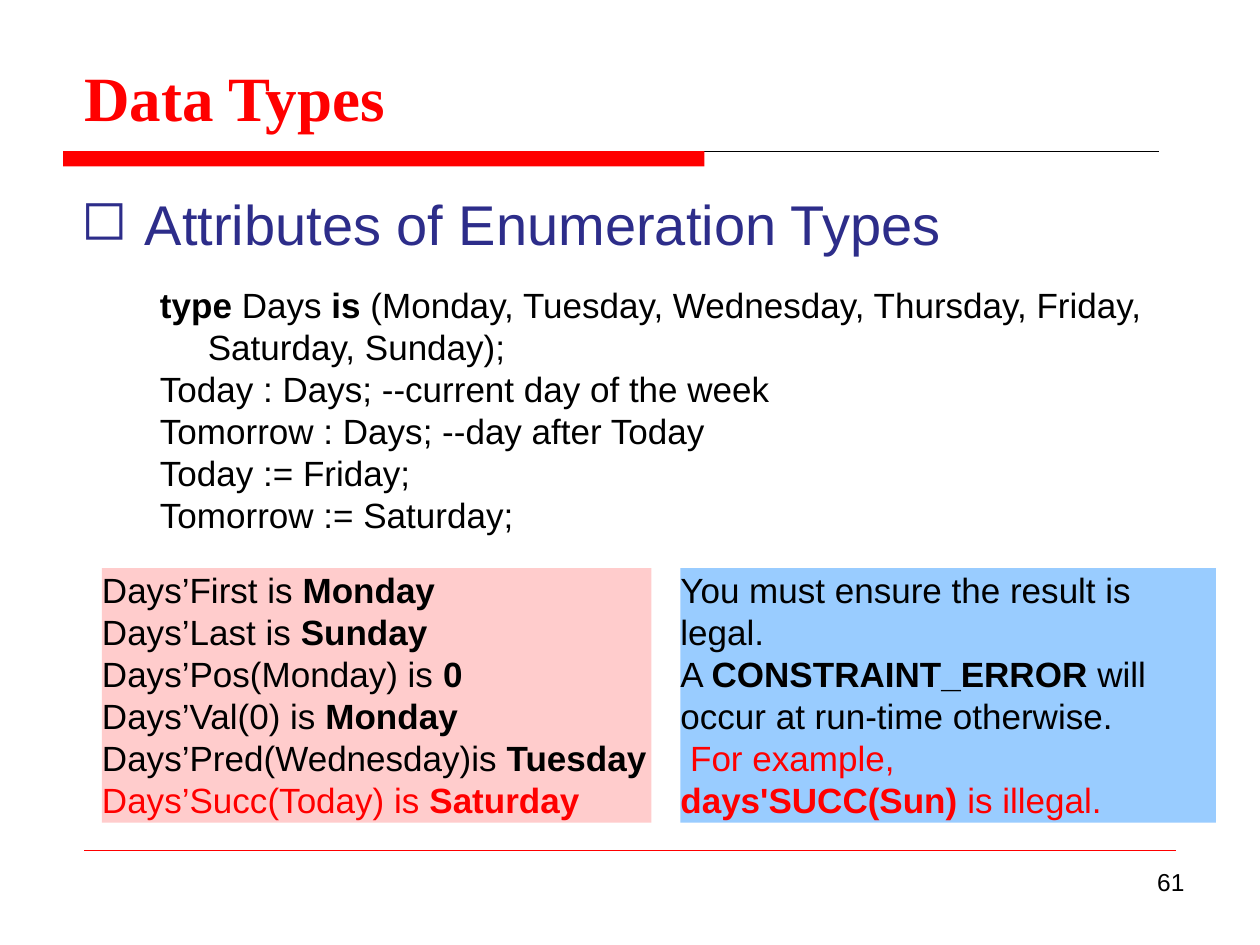
"""Build the slide on attributes of enumeration types."""
import pptx
import pptx.dml.color
import pptx.enum.shapes
import pptx.enum.text
import pptx.util
import lxml.etree

Inches = pptx.util.Inches
Pt = pptx.util.Pt
RED, BLACK, BLUE = "FF0000", "000000", "2D2D8A"


def color(value):
    """Turn a hex string into a colour."""
    return pptx.dml.color.RGBColor.from_string(value)


def write(shape, lines, size=20, font="Arial", ink=BLACK, red_from=None, wrap=False,
          inset=0, spacing=None, bullet=None, align=pptx.enum.text.PP_ALIGN.LEFT):
    """Fill a shape with lines in which ** switches bold on and off."""
    frame = shape.text_frame
    frame.word_wrap = wrap
    frame.auto_size = pptx.enum.text.MSO_AUTO_SIZE.NONE
    frame.vertical_anchor = pptx.enum.text.MSO_ANCHOR.TOP
    frame.margin_left = frame.margin_right = Inches(inset)
    frame.margin_top = frame.margin_bottom = Inches(inset / 2)
    for index, line in enumerate(lines):
        para = frame.paragraphs[0] if index == 0 else frame.add_paragraph()
        para.alignment = align
        if spacing:
            para.line_spacing = Pt(spacing)
        if bullet:
            properties = para._p.get_or_add_pPr()
            properties.set("marL", str(Inches(0.5)))
            properties.set("indent", str(-Inches(0.5)))
            mark = lxml.etree.SubElement(properties, pptx.oxml.ns.qn("a:buChar"))
            mark.set("char", bullet)
        for part, text in enumerate(line.split("**")):
            if text:
                span = para.add_run()
                span.text = text
                span.font.name = font
                span.font.size = Pt(size)
                span.font.bold = part % 2 == 1
                is_red = red_from is not None and index >= red_from
                span.font.color.rgb = color(RED if is_red else ink)


deck = pptx.Presentation()
deck.slide_width, deck.slide_height = Inches(10), Inches(7.5)
page = deck.slides.add_slide(deck.slide_layouts[5])
shapes = page.shapes

for left, right, top, ink, weight in [(0.5, 9.2, 1.2, BLACK, 0.75), (0.67, 9.33, 6.75, RED, 0.25)]:
    rule = shapes.add_connector(pptx.enum.shapes.MSO_CONNECTOR.STRAIGHT,
                                Inches(left), Inches(top), Inches(right), Inches(top))
    rule.line.color.rgb = color(ink)
    rule.line.width = Pt(weight)
    lxml.etree.SubElement(rule._element.spPr, pptx.oxml.ns.qn("a:effectLst"))

panels = []
for left, top, width, height, fill in [
    (0.5, 1.2, 5.09, 0.12, RED),
    (0.81, 4.51, 4.36, 2.02, "FFCCCC"),
    (5.4, 4.51, 4.25, 2.02, "99CCFF"),
]:
    panel = shapes.add_shape(pptx.enum.shapes.MSO_SHAPE.RECTANGLE,
                             Inches(left), Inches(top), Inches(width), Inches(height))
    panel.shadow.inherit = False
    panel.fill.solid()
    panel.fill.fore_color.rgb = color(fill)
    panel.line.fill.background()
    panels.append(panel)
bar, results, warning = panels

title = shapes.title
title.left, title.top = Inches(0.67), Inches(0.6)
title.width, title.height = Inches(2.41), Inches(0.48)
write(title, ["**Data Types**"], size=36, font="Times New Roman", ink=RED, spacing=33.7)

heading = shapes.add_textbox(Inches(0.65), Inches(1.7), Inches(6.87), Inches(0.34))
write(heading, ["Attributes of Enumeration Types"], size=32, ink=BLUE, spacing=24.1, bullet="◻")

code = shapes.add_textbox(Inches(1.27), Inches(2.25), Inches(7.84), Inches(2.02))
write(code, [
    "**type **Days **is **(Monday, Tuesday, Wednesday, Thursday, Friday,",
    "Saturday, Sunday);",
    "Today : Days; --current day of the week",
    "Tomorrow : Days; --day after Today",
    "Today := Friday;",
    "Tomorrow := Saturday;",
])
code.text_frame.paragraphs[1]._p.get_or_add_pPr().set("marL", str(Inches(0.38)))

write(results, [
    "Days’First is **Monday**",
    "Days’Last is **Sunday**",
    "Days’Pos(Monday) is **0**",
    "Days’Val(0) is **Monday**",
    "Days’Pred(Wednesday)is **Tuesday**",
    "Days’Succ(Today) is **Saturday**",
], red_from=5)
write(warning, [
    "You must ensure the result is legal.",
    "A **CONSTRAINT_ERROR **will occur at run-time otherwise.",
    " For example,",
    "**days'SUCC(Sun) **is illegal.",
], red_from=2, wrap=True)

number = shapes.add_textbox(Inches(7.17), Inches(6.83), Inches(2.33), Inches(0.52))
write(number, ["61"], size=14, wrap=True, inset=0.1, align=pptx.enum.text.PP_ALIGN.RIGHT)

deck.save("out.pptx")
